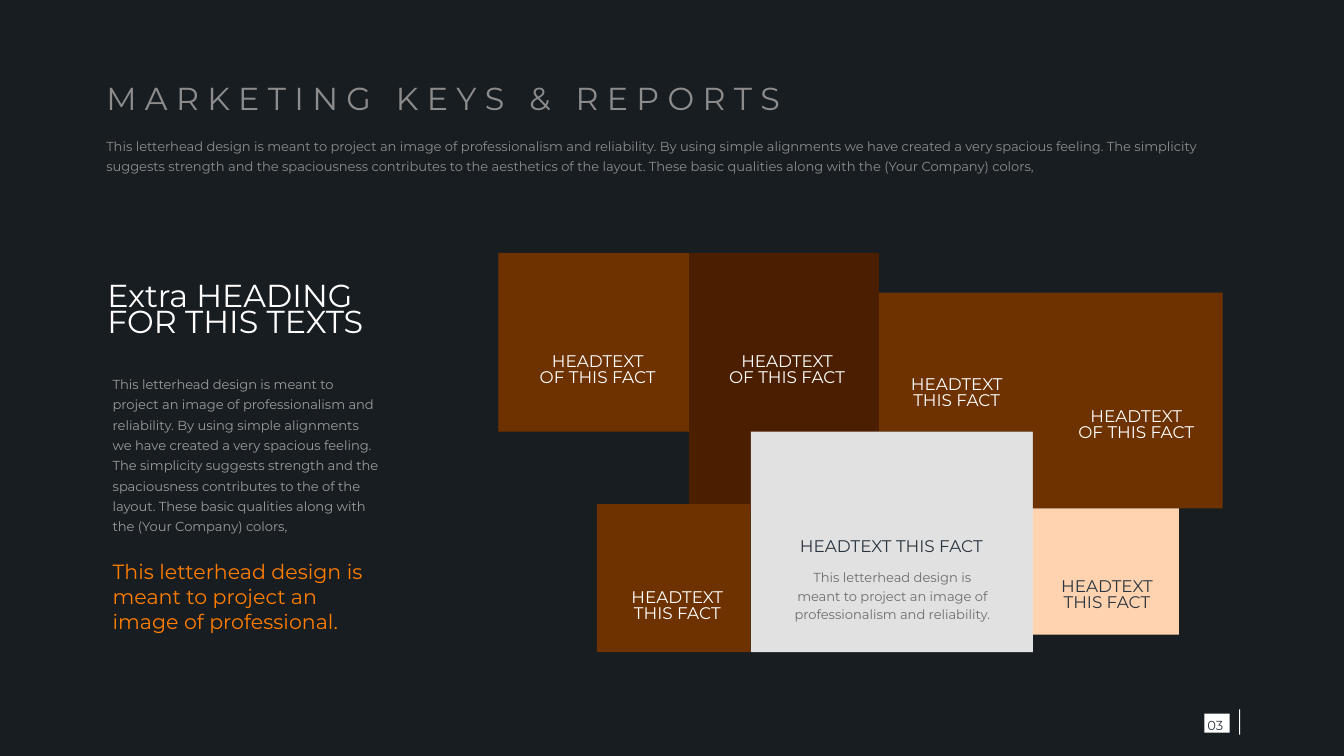
from pptx import Presentation
from pptx.dml.color import RGBColor
from pptx.enum.shapes import MSO_SHAPE as Shape
from pptx.enum.text import MSO_ANCHOR as Anchor, PP_ALIGN as Align
from pptx.util import Cm, Pt

FONT = "Montserrat"
NIGHT = RGBColor(0x18, 0x1D, 0x22)
SLATE = RGBColor(0x2B, 0x35, 0x3F)
GRAY = RGBColor(0x8C, 0x8C, 0x8C)
SOFT_GRAY = RGBColor(0x9B, 0x9B, 0x9B)
DARK_GRAY = RGBColor(0x6E, 0x6E, 0x6E)
SILVER = RGBColor(0xE1, 0xE1, 0xE1)
WHITE = RGBColor(0xFF, 0xFF, 0xFF)
BROWN = RGBColor(0x6E, 0x32, 0x00)
DARK_BROWN = RGBColor(0x4B, 0x1E, 0x00)
PEACH = RGBColor(0xFF, 0xD3, 0xAF)
ORANGE = RGBColor(0xFF, 0x7D, 0x00)

INTRO = (
    "This letterhead design is meant to project an image of professionalism and reliability. "
    "By using simple alignments we have created a very spacious feeling. "
    "The simplicity suggests strength and the spaciousness contributes to the {} of the layout. "
    "These basic qualities along with the (Your Company) colors,"
)

TILES = [
    (13.02, 4.78, 16.61, 9.61, DARK_BROWN),
    (16.61, 5.53, 19.52, 8.16, BROWN),
    (14.19, 8.16, 19.52, 12.33, SILVER),
    (19.52, 5.53, 23.11, 9.61, BROWN),
    (11.28, 9.53, 14.19, 12.33, BROWN),
    (19.52, 9.61, 22.28, 12.0, PEACH),
    (9.42, 4.78, 13.02, 8.16, BROWN),
]

TILE_LABELS = [
    ("HEADTEXT\nOF THIS FACT", (9.91, 6.45, 2.77, 1.12), WHITE),
    ("HEADTEXT\nOF THIS FACT", (13.49, 6.45, 2.77, 1.12), WHITE),
    ("HEADTEXT\nTHIS FACT", (16.99, 6.99, 2.18, 0.89), WHITE),
    ("HEADTEXT\nOF THIS FACT", (20.22, 7.49, 2.51, 1.12), WHITE),
    ("HEADTEXT\nTHIS FACT", (19.94, 10.77, 1.96, 0.99), SLATE),
    ("HEADTEXT\nTHIS FACT", (11.71, 11.02, 2.18, 0.89), WHITE),
    ("HEADTEXT THIS FACT", (14.94, 9.96, 3.81, 0.79), SLATE),
]


def add_block(page, left, top, width, height, color):
    block = page.shapes.add_shape(
        Shape.RECTANGLE, Cm(left), Cm(top), Cm(width), Cm(height)
    )
    block.shadow.inherit = False
    block.fill.solid()
    block.fill.fore_color.rgb = color
    block.line.fill.background()


def add_text(page, text, *, place, size, color, spacing=1.0, align=Align.LEFT):
    box = page.shapes.add_textbox(*map(Cm, place))
    frame = box.text_frame
    frame.word_wrap = True
    frame.vertical_anchor = Anchor.MIDDLE
    frame.margin_left = frame.margin_right = 0
    frame.margin_top = frame.margin_bottom = 0
    frame.text = text
    for para in frame.paragraphs:
        para.alignment = align
        para.line_spacing = spacing
        for span in para.runs:
            span.font.name = FONT
            span.font.size = Pt(size)
            span.font.color.rgb = color


def add_header(page):
    add_text(page, " ".join("MARKETING KEYS & REPORTS"),
             place=(2.01, 1.52, 13.08, 0.84), size=17, color=GRAY, spacing=0.7)
    add_text(page, INTRO.format("aesthetics"),
             place=(2.01, 2.51, 21.11, 0.79), size=7, color=GRAY, spacing=1.3)


def add_side_column(page):
    add_text(page, INTRO.format("of the layout").replace("of the layout of the layout", "of the layout"),
             place=(2.13, 7.04, 5.03, 3.05), size=7, color=SOFT_GRAY, spacing=1.3)
    add_text(page, "Extra HEADING FOR THIS TEXTS",
             place=(2.03, 5.23, 5.03, 1.35), size=17, color=WHITE, spacing=0.7)
    add_text(page, "This letterhead design is meant to project an image of professional.",
             place=(2.13, 10.49, 5.03, 1.57), size=11, color=ORANGE)


def add_mosaic(page):
    for left, top, right, bottom, color in TILES:
        add_block(page, left, top, right - left, bottom - top, color)
    for text, place, color in TILE_LABELS:
        add_text(page, text, place=place, size=9, color=color,
                 spacing=0.8, align=Align.CENTER)
    add_text(page,
             "This letterhead design is meant to project an image of professionalism and reliability.",
             place=(14.96, 10.69, 3.81, 1.09), size=7, color=DARK_GRAY,
             spacing=1.2, align=Align.CENTER)


def add_page_number(page):
    add_block(page, 22.76, 13.49, 0.48, 0.36, WHITE)
    add_text(page, "03", place=(22.68, 13.46, 0.58, 0.41), size=7, color=SLATE,
             spacing=1.3, align=Align.CENTER)
    add_block(page, 23.42, 13.41, 0.02, 0.48, WHITE)


def main():
    deck = Presentation()
    deck.slide_width, deck.slide_height = Cm(25.4), Cm(14.29)
    page = deck.slides.add_slide(deck.slide_layouts[6])
    page.background.fill.solid()
    page.background.fill.fore_color.rgb = NIGHT
    add_header(page)
    add_mosaic(page)
    add_side_column(page)
    add_page_number(page)
    deck.save("out.pptx")


if __name__ == "__main__":
    main()
